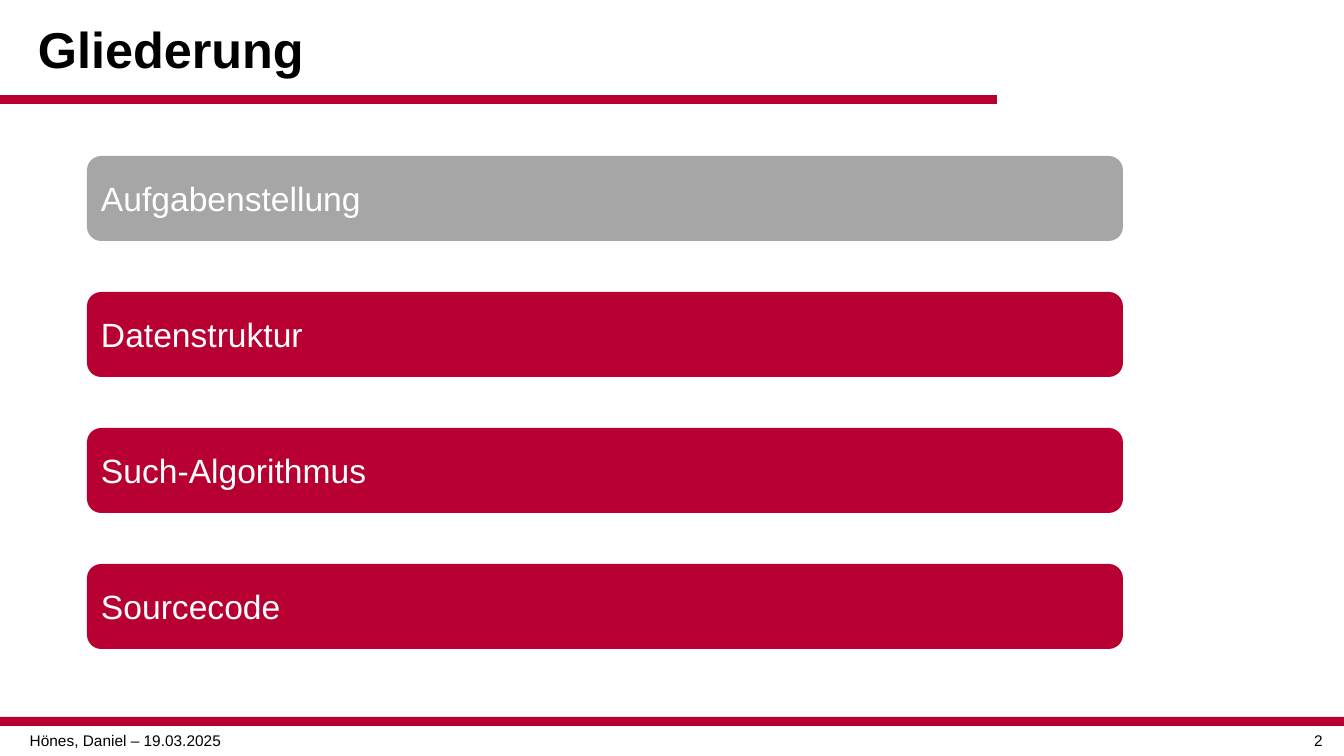
from dataclasses import dataclass

from pptx import Presentation
from pptx.dml.color import RGBColor
from pptx.enum.shapes import MSO_SHAPE
from pptx.enum.text import MSO_ANCHOR, PP_ALIGN
from pptx.shapes.autoshape import Shape
from pptx.slide import Slide
from pptx.util import Emu, Pt

RECTANGLE = MSO_SHAPE.RECTANGLE
ROUNDED = MSO_SHAPE.ROUNDED_RECTANGLE
TOP, MIDDLE = MSO_ANCHOR.TOP, MSO_ANCHOR.MIDDLE
LEFT, CENTER = PP_ALIGN.LEFT, PP_ALIGN.CENTER

RED = RGBColor(0xB7, 0x00, 0x31)
GRAY = RGBColor(0xA6, 0xA6, 0xA6)
BLACK = RGBColor(0x00, 0x00, 0x00)
WHITE = RGBColor(0xFF, 0xFF, 0xFF)

FONT = "Arial"
PX_PER_INCH = 100.8
SLIDE_WIDTH, SLIDE_HEIGHT = 1344, 756
CHAPTER_LEFT, CHAPTER_TOP = 87, 156
CHAPTER_WIDTH, CHAPTER_HEIGHT = 1036, 85
CHAPTER_PITCH = 136


@dataclass(frozen=True)
class Box:
    """Position and size in px."""

    left: int
    top: int
    width: int
    height: int

    def emu(self) -> tuple[Emu, Emu, Emu, Emu]:
        """Return left, top, width and height in EMU."""
        return px(self.left), px(self.top), px(self.width), px(self.height)


@dataclass(frozen=True)
class Label:
    """Text with its format."""

    text: str
    size: int
    color: RGBColor = BLACK
    align: PP_ALIGN = LEFT
    anchor: MSO_ANCHOR = TOP
    bold: bool = False
    line_spacing: float = 1.0


@dataclass(frozen=True)
class Chapter:
    """One entry of the outline."""

    name: str
    fill: RGBColor = RED


RULES = [Box(0, 95, 997, 9), Box(0, 717, SLIDE_WIDTH, 9)]
CAPTIONS = [
    (Box(28, 9, 1131, 86),
     Label("Gliederung", 36, anchor=MIDDLE, bold=True, line_spacing=0.9)),
    (Box(0, 726, 251, 29), Label("Hönes, Daniel – 19.03.2025", 11, align=CENTER)),
    (Box(1293, 726, 51, 29), Label("2", 11, align=CENTER)),
]
CHAPTERS = [
    Chapter("Aufgabenstellung", GRAY),
    Chapter("Datenstruktur"),
    Chapter("Such-Algorithmus"),
    Chapter("Sourcecode"),
]


def px(length: int) -> Emu:
    """Convert px to EMU."""
    return Emu(round(length * 914400 / PX_PER_INCH))


def write(shape: Shape, label: Label) -> None:
    """Put a formatted label into a shape."""
    frame = shape.text_frame
    frame.text = label.text
    frame.word_wrap = True
    frame.vertical_anchor = label.anchor
    paragraph = frame.paragraphs[0]
    paragraph.alignment = label.align
    paragraph.line_spacing = label.line_spacing
    font = paragraph.runs[0].font
    font.name = FONT
    font.size = Pt(label.size)
    font.bold = label.bold
    font.color.rgb = label.color


def add_block(slide: Slide, kind: MSO_SHAPE, box: Box, fill: RGBColor) -> Shape:
    """Add a filled shape without outline or shadow."""
    block = slide.shapes.add_shape(kind, *box.emu())
    block.shadow.inherit = False
    block.fill.solid()
    block.fill.fore_color.rgb = fill
    block.line.fill.background()
    return block


def main() -> None:
    """Build and save the outline slide."""
    deck = Presentation()
    deck.slide_width, deck.slide_height = px(SLIDE_WIDTH), px(SLIDE_HEIGHT)
    slide = deck.slides.add_slide(deck.slide_layouts[6])

    for rule in RULES:
        add_block(slide, RECTANGLE, rule, RED)
    for box, caption in CAPTIONS:
        write(slide.shapes.add_textbox(*box.emu()), caption)
    for index, chapter in enumerate(CHAPTERS):
        top = CHAPTER_TOP + index * CHAPTER_PITCH
        box = Box(CHAPTER_LEFT, top, CHAPTER_WIDTH, CHAPTER_HEIGHT)
        bar = add_block(slide, ROUNDED, box, chapter.fill)
        write(bar, Label(chapter.name, 24, WHITE, anchor=MIDDLE))

    deck.save("out.pptx")


if __name__ == "__main__":
    main()
